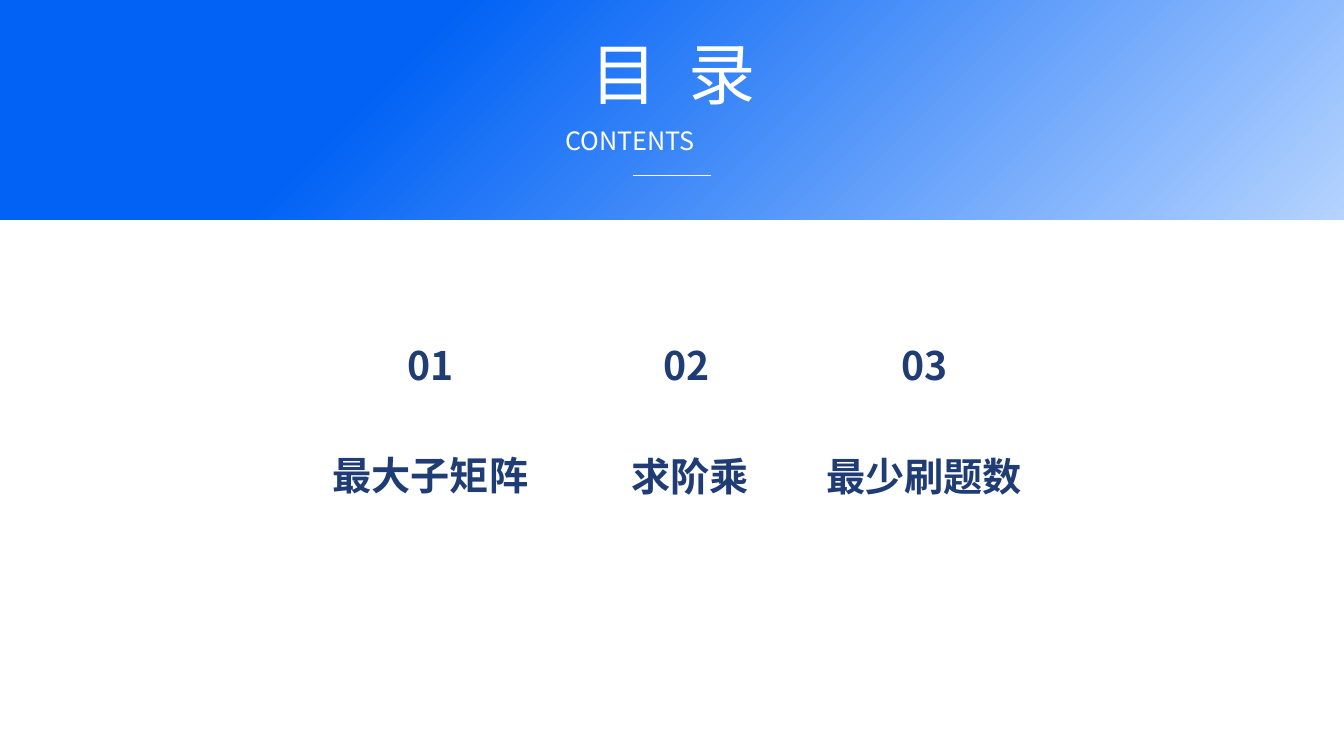
from pptx import Presentation
from pptx.dml.color import RGBColor
from pptx.enum.shapes import MSO_CONNECTOR, MSO_SHAPE
from pptx.enum.text import MSO_ANCHOR, MSO_AUTO_SIZE, PP_ALIGN
from pptx.oxml.ns import qn
from pptx.util import Inches, Pt
from lxml.etree import SubElement

COLORS = {"blue": "0162F5", "pale": "B4D3FF", "white": "FFFFFF", "navy": "1F3D74"}
FONT = "Noto Sans CJK SC"


def color(name):
    return RGBColor.from_string(COLORS[name])


def add_span(para, text, size, color_name, bold=False):
    span = para.add_run()
    span.text = text
    span.font.name = FONT
    span.font.size = Pt(size)
    span.font.bold = bold
    span.font.color.rgb = color(color_name)
    properties = span.font._element
    SubElement(properties, qn("a:ea")).set("typeface", FONT)
    return span


def format_frame(box, alignment):
    frame = box.text_frame
    frame.word_wrap = True
    frame.auto_size = MSO_AUTO_SIZE.NONE
    frame.vertical_anchor = MSO_ANCHOR.MIDDLE
    frame.margin_left = frame.margin_right = Inches(0.1)
    frame.margin_top = Inches(0)
    frame.margin_bottom = Inches(0.08)
    para = frame.paragraphs[0]
    para.alignment = alignment
    return para


def add_label(page, text, left, top, width, height, size, color_name,
              alignment=PP_ALIGN.CENTER, bold=False):
    box = page.shapes.add_textbox(Inches(left), Inches(top), Inches(width), Inches(height))
    add_span(format_frame(box, alignment), text, size, color_name, bold)


def add_header(page):
    band = page.shapes.add_shape(MSO_SHAPE.ROUNDED_RECTANGLE, Inches(0), Inches(-0.23),
                                 Inches(26.67), Inches(4.59))
    band.adjustments[0] = 0
    band.shadow.inherit = False
    band.line.fill.background()
    band.fill.gradient()
    band.fill.gradient_angle = 315
    for stop, name, position in zip(band.fill.gradient_stops, ("blue", "pale"), (0.3, 1)):
        stop.color.rgb = color(name)
        stop.position = position


def add_title(page):
    title = page.shapes.title
    title.left, title.top = Inches(10.23), Inches(0.63)
    title.width, title.height = Inches(6.25), Inches(1.72)
    page.shapes._spTree.append(title._element)
    para = format_frame(title, PP_ALIGN.CENTER)
    spaced = add_span(para, "目 ", 96, "white")
    spaced.font._element.set("spc", "1075")
    add_span(para, "录", 96, "white")


def add_rule(page):
    rule = page.shapes.add_connector(MSO_CONNECTOR.STRAIGHT, Inches(12.56), Inches(3.49),
                                     Inches(14.11), Inches(3.49))
    rule.line.color.rgb = color("white")
    rule.line.width = Pt(1.75)
    SubElement(rule._element.spPr, qn("a:effectLst"))


def add_topic(page, number, name, number_left, name_left, name_top):
    add_label(page, number, number_left, 6.76, 1.71, 1.04, 56, "navy", bold=True)
    add_label(page, name, name_left, name_top, 4.64, 1.04, 56, "navy", bold=True)


def main():
    deck = Presentation()
    deck.slide_width, deck.slide_height = Inches(26.67), Inches(15)
    page = deck.slides.add_slide(deck.slide_layouts[5])
    add_header(page)
    add_title(page)
    add_label(page, "CONTENTS", 11.12, 2.48, 4.43, 0.71, 36, "white", PP_ALIGN.JUSTIFY)
    add_rule(page)
    topics = [
        ("01", "最大子矩阵", 7.69, 6.22, 8.95),
        ("02", "求阶乘", 12.77, 11.38, 8.97),
        ("03", "最少刷题数", 17.49, 16.02, 8.97),
    ]
    for topic in topics:
        add_topic(page, *topic)
    deck.save("out.pptx")


if __name__ == "__main__":
    main()
